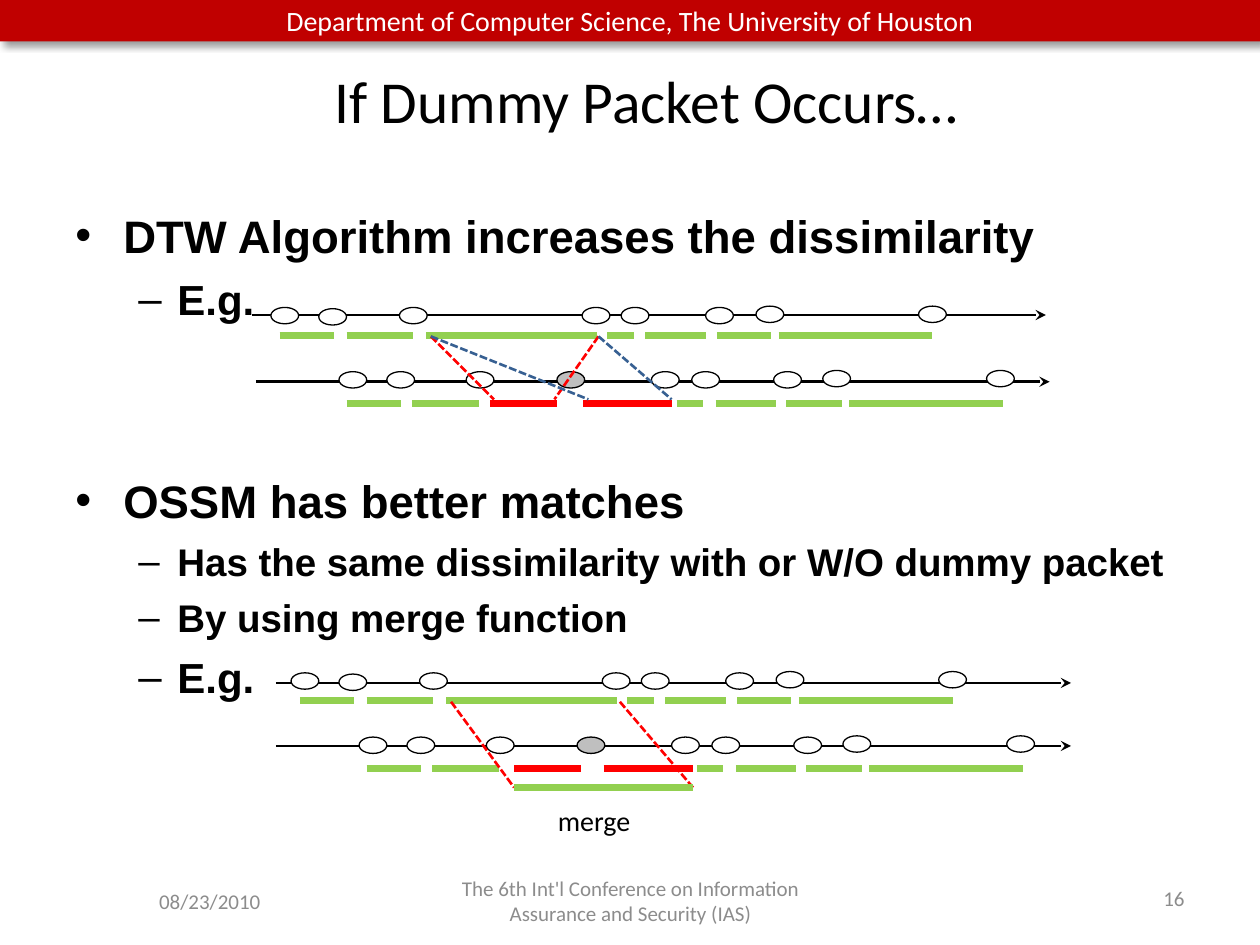
from dataclasses import dataclass
from typing import Optional

from lxml import etree
from pptx import Presentation
from pptx.dml.color import RGBColor
from pptx.enum import dml, shapes, text
from pptx.oxml import ns
from pptx.util import Inches, Pt

BLACK, WHITE, GRAY = "000000", "FFFFFF", "8C8C8C"
GREEN, RED, BLUE = "92D050", "FF0000", "376092"


@dataclass
class Line:
    x1: float
    y1: float
    x2: float
    y2: float
    color: str = BLACK
    width: float = 1.5
    dashed: bool = False
    arrow: bool = False


@dataclass
class Bullet:
    wording: str
    level: int
    size: float
    space_before: float


@dataclass
class Diagram:
    dx: float
    dy: float
    axes: list[Line]
    red_bars: list[tuple[float, float]]
    matches: list[Line]


TOP_PACKETS = [(2.15, 2.44), (2.53, 2.45), (3.17, 2.44), (4.62, 2.44),
               (4.93, 2.44), (5.6, 2.44), (6, 2.43), (7.29, 2.43)]
BOTTOM_PACKETS = [(2.69, 2.95), (3.07, 2.95), (3.7, 2.95), (5.17, 2.95),
                  (5.49, 2.95), (6.14, 2.95), (6.53, 2.94), (7.83, 2.94)]
DUMMY_PACKET = (4.42, 2.95)
TOP_BARS = [(2.22, 2.65), (2.75, 3.28), (3.38, 4.74), (4.82, 5.03),
            (5.12, 5.6), (5.69, 6.12), (6.18, 7.4)]
BOTTOM_BARS = [(2.75, 3.18), (3.27, 3.8), (5.37, 5.58),
               (5.68, 6.16), (6.24, 6.68), (6.74, 7.96)]

DIAGRAMS = [
    Diagram(0, 0,
            [Line(2, 2.5, 8.3, 2.5, arrow=True),
             Line(2.03, 3.03, 8.33, 3.03, arrow=True)],
            [(3.89, 4.42), (4.63, 5.33)],
            [Line(3.42, 2.67, 3.92, 3.17, RED, dashed=True),
             Line(4.75, 2.67, 4.4, 3.17, RED, dashed=True),
             Line(4.75, 2.67, 5.33, 3.17, BLUE, dashed=True),
             Line(3.42, 2.67, 4.67, 3.17, BLUE, dashed=True)]),
    Diagram(0.16, 2.9,
            [Line(2.19, 5.92, 8.5, 5.92, arrow=True),
             Line(2.19, 5.42, 8.5, 5.42, arrow=True)],
            [(4.08, 4.61), (4.79, 5.5)],
            [Line(3.58, 5.57, 4.08, 6.25, RED, dashed=True),
             Line(4.92, 5.57, 5.5, 6.25, RED, dashed=True),
             Line(4.08, 6.25, 5.5, 6.25, GREEN, 4)]),
]

BULLETS = [
    Bullet("DTW Algorithm increases the dissimilarity", 0, 26, 0),
    Bullet("E.g.", 1, 24, 6.5),
    Bullet("OSSM has better matches", 0, 26, 85),
    Bullet("Has the same dissimilarity with or W/O dummy packet", 1, 22, 6),
    Bullet("By using merge function", 1, 22, 5.6),
    Bullet("E.g.", 1, 24, 6.5),
]
BULLET_STYLES = [("•", 0.38, -0.38), ("–", 0.81, -0.31)]


def rgb(color: str) -> RGBColor:
    return RGBColor.from_string(color)


def add_child(parent, tag: str, **attributes: str):
    return etree.SubElement(parent, ns.qn(tag), attributes)


def style_paragraph(paragraph, size: float, color: str = BLACK,
                    font: str = "Calibri", bold: bool = False) -> None:
    for run in paragraph.runs:
        run.font.size = Pt(size)
        run.font.name = font
        run.font.bold = bold
        run.font.color.rgb = rgb(color)


def add_label(slide, wording: str, box: tuple, size: float, color: str,
              align=text.PP_ALIGN.CENTER, anchor=text.MSO_ANCHOR.MIDDLE,
              line_spacing: Optional[float] = None):
    label = slide.shapes.add_textbox(*map(Inches, box))
    frame = label.text_frame
    frame.word_wrap = True
    frame.vertical_anchor = anchor
    frame.text = wording
    paragraph = frame.paragraphs[0]
    paragraph.alignment = align
    paragraph.line_spacing = line_spacing
    style_paragraph(paragraph, size, color)
    return label


def add_line(slide, line: Line) -> None:
    ends = map(Inches, (line.x1, line.y1, line.x2, line.y2))
    connector = slide.shapes.add_connector(shapes.MSO_CONNECTOR.STRAIGHT, *ends)
    connector.line.color.rgb = rgb(line.color)
    connector.line.width = Pt(line.width)
    properties = connector._element.spPr
    if line.dashed:
        connector.line.dash_style = dml.MSO_LINE.SQUARE_DOT
        properties.find(ns.qn("a:ln")).find(ns.qn("a:prstDash")).set("val", "sysDash")
    if line.arrow:
        add_child(properties.find(ns.qn("a:ln")), "a:tailEnd", type="stealth")
    add_child(properties, "a:effectLst")


def add_packet(slide, left: float, top: float, fill: str = WHITE) -> None:
    packet = slide.shapes.add_shape(shapes.MSO_SHAPE.OVAL, Inches(left),
                                    Inches(top), Inches(0.22), Inches(0.13))
    packet.shadow.inherit = False
    packet.fill.solid()
    packet.fill.fore_color.rgb = rgb(fill)
    packet.line.color.rgb = rgb(BLACK)
    packet.line.width = Pt(0.75)


def add_bars(slide, spans: list, y: float, color: str, dx: float = 0) -> None:
    for start, end in spans:
        add_line(slide, Line(start + dx, y, end + dx, y, color, 4))


def add_diagram(slide, diagram: Diagram) -> None:
    dx, dy = diagram.dx, diagram.dy
    for axis in diagram.axes:
        add_line(slide, axis)
    add_bars(slide, TOP_BARS, 2.66 + dy, GREEN, dx)
    for left, top in TOP_PACKETS + BOTTOM_PACKETS:
        add_packet(slide, left + dx, top + dy)
    add_packet(slide, DUMMY_PACKET[0] + dx, DUMMY_PACKET[1] + dy, "BFBFBF")
    add_bars(slide, BOTTOM_BARS, 3.2 + dy, GREEN, dx)
    add_bars(slide, diagram.red_bars, 3.2 + dy, RED)
    for match in diagram.matches:
        add_line(slide, match)


def add_header(slide) -> None:
    header = slide.shapes.add_shape(shapes.MSO_SHAPE.RECTANGLE, 0, 0,
                                    Inches(10), Inches(0.33))
    header.fill.solid()
    header.fill.fore_color.rgb = rgb("C00000")
    header.line.fill.background()
    header.shadow.inherit = False
    effects = header._element.spPr.find(ns.qn("a:effectLst"))
    shadow = add_child(effects, "a:outerShdw", blurRad=str(Pt(4)), dist=str(Pt(3)),
                       dir="2700000", algn="tl", rotWithShape="0")
    add_child(add_child(shadow, "a:srgbClr", val=BLACK), "a:alpha", val="40000")
    frame = header.text_frame
    frame.vertical_anchor = text.MSO_ANCHOR.MIDDLE
    frame.text = "Department of Computer Science, The University of Houston"
    frame.paragraphs[0].alignment = text.PP_ALIGN.CENTER
    style_paragraph(frame.paragraphs[0], 16, WHITE)


def add_bullets(slide) -> None:
    body = slide.shapes.add_textbox(Inches(0.5), Inches(1.6), Inches(9.08), Inches(5.15))
    frame = body.text_frame
    frame.word_wrap = True
    for index, bullet in enumerate(BULLETS):
        paragraph = frame.add_paragraph() if index else frame.paragraphs[0]
        paragraph.text = bullet.wording
        paragraph.level = bullet.level
        paragraph.space_before = Pt(bullet.space_before)
        mark, margin, indent = BULLET_STYLES[bullet.level]
        properties = paragraph._p.get_or_add_pPr()
        properties.set("marL", str(Inches(margin)))
        properties.set("indent", str(Inches(indent)))
        add_child(properties, "a:buFont", typeface="Arial")
        add_child(properties, "a:buChar", char=mark)
        style_paragraph(paragraph, bullet.size, font="Arial", bold=True)


def main() -> None:
    presentation = Presentation()
    presentation.slide_width, presentation.slide_height = Inches(10), Inches(7.5)
    slide = presentation.slides.add_slide(presentation.slide_layouts[5])
    add_header(slide)
    title = slide.shapes.title
    title.left, title.top, title.width, title.height = map(Inches, (0.67, 0.25, 8.92, 1.08))
    title.text_frame.text = "If Dummy Packet Occurs…"
    style_paragraph(title.text_frame.paragraphs[0], 34)
    add_bullets(slide)
    add_label(slide, "08/23/2010", (0.5, 6.95, 2.33, 0.4), 12, GRAY)
    add_label(slide, "The 6th Int'l Conference on Information Assurance and Security (IAS)",
              (3.42, 6.95, 3.17, 0.4), 12, GRAY)
    add_label(slide, "16", (7.17, 6.95, 2.33, 0.4), 12, GRAY,
              text.PP_ALIGN.RIGHT, line_spacing=0.8)
    for diagram in DIAGRAMS:
        add_diagram(slide, diagram)
    merge = add_label(slide, "merge", (4.33, 6.33, 1.08, 0.37), 16, BLACK,
                      text.PP_ALIGN.LEFT, text.MSO_ANCHOR.TOP)
    merge.text_frame.auto_size = text.MSO_AUTO_SIZE.SHAPE_TO_FIT_TEXT
    presentation.save("out.pptx")


if __name__ == "__main__":
    main()
